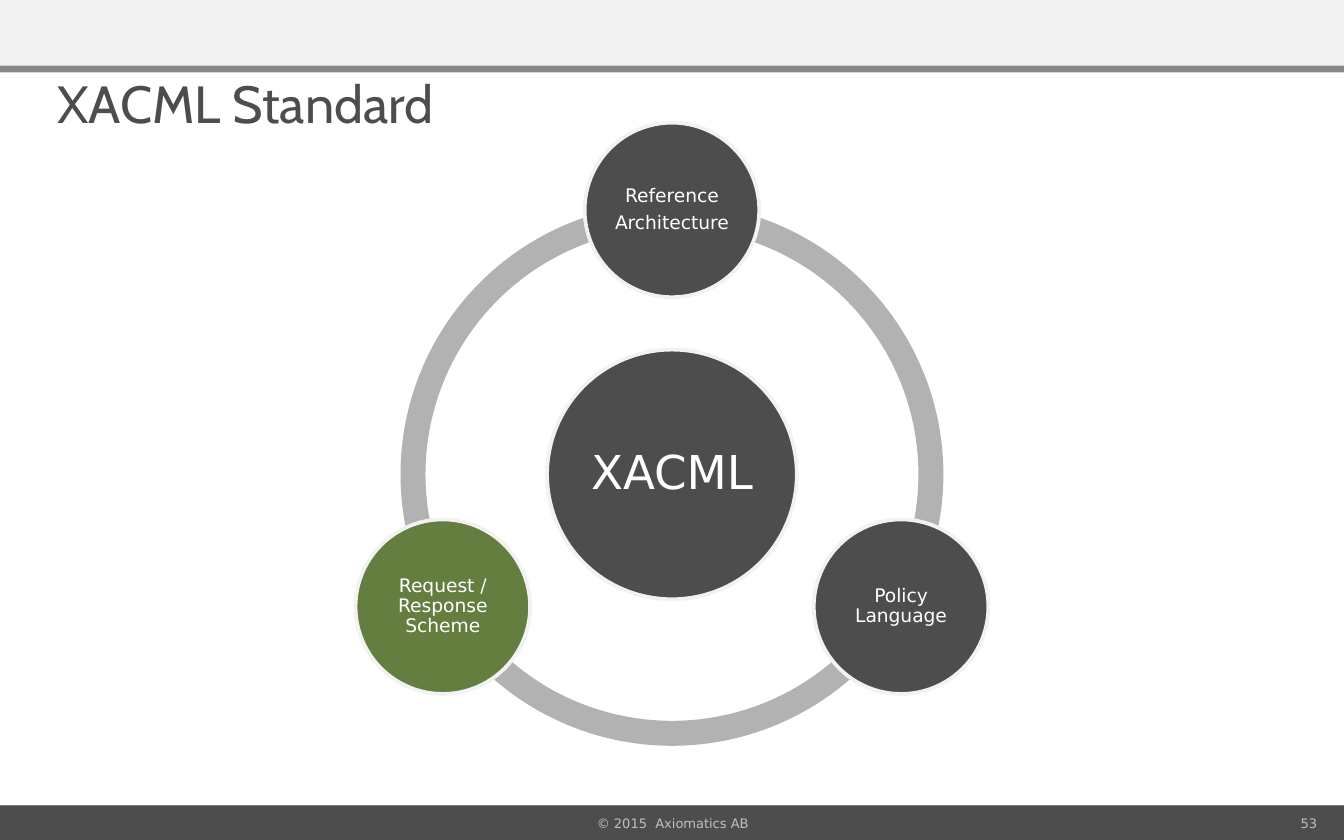
import math
from dataclasses import dataclass

from lxml import etree
from pptx import Presentation
from pptx import util as u
from pptx.dml.color import RGBColor
from pptx.enum import shapes, text
from pptx.oxml.ns import qn

DARK = RGBColor(0x4D, 0x4D, 0x4D)
GREEN = RGBColor(0x64, 0x7E, 0x40)
RING_GRAY = RGBColor(0xB2, 0xB2, 0xB2)
RULE_GRAY = RGBColor(0x88, 0x88, 0x88)
HEADER_GRAY = RGBColor(0xF3, 0xF3, 0xF3)
OUTLINE = RGBColor(0xF2, 0xF2, 0xF2)
FOOTER_TEXT = RGBColor(0xBF, 0xBF, 0xBF)
WHITE = RGBColor(0xFF, 0xFF, 0xFF)

BODY_FONT = "DejaVu Sans"
SLIDE_WIDTH, SLIDE_HEIGHT = 25.4, 15.88
CENTER_X, CENTER_Y = 12.7, 8.97
RING_SIZE, RING_THICKNESS = 10.26, 0.046
ORBIT = 5.0
HUB_SIZE, NODE_SIZE = 4.72, 3.3
FOOTER_TOP, FOOTER_HEIGHT = 15.24, 0.64


@dataclass
class Band:
    top: float
    height: float
    color: RGBColor


@dataclass
class Label:
    words: str
    left: float
    top: float
    width: float
    height: float
    size: float
    color: RGBColor
    font: str = BODY_FONT
    align: text.PP_ALIGN = text.PP_ALIGN.LEFT
    anchor: text.MSO_ANCHOR = text.MSO_ANCHOR.MIDDLE
    margins: tuple = (0.25, 0.13, 0.25, 0.13)


@dataclass
class Node:
    words: str
    angle: float
    color: RGBColor = DARK


BANDS = [
    Band(0, 1.24, HEADER_GRAY),
    Band(FOOTER_TOP, FOOTER_HEIGHT, DARK),
    Band(1.24, 0.13, RULE_GRAY),
]
LABELS = [
    Label("XACML Standard", 1.09, 1.35, 23.22, 1.6, 28, DARK, font="Cabin",
          anchor=text.MSO_ANCHOR.TOP, margins=(0, 0, 0, 0)),
    Label("53", 18.21, FOOTER_TOP, 6.68, FOOTER_HEIGHT, 7, FOOTER_TEXT,
          align=text.PP_ALIGN.RIGHT, margins=(0.25, 0.13, 0, 0.13)),
    Label("© 2015  Axiomatics AB", 8.69, FOOTER_TOP, 8.05, FOOTER_HEIGHT, 7,
          FOOTER_TEXT, align=text.PP_ALIGN.CENTER),
]
NODES = [
    Node("Reference\nArchitecture", 270),
    Node("Policy Language", 30),
    Node("Request / Response Scheme", 150, GREEN),
]
# Start and end angles of the ring's three arcs
ARCS = [(90, 162), (18, 90), (162, 18)]


def add_filled(slide, kind, left: float, top: float, width: float,
               height: float, color: RGBColor):
    shape = slide.shapes.add_shape(
        kind, u.Cm(left), u.Cm(top), u.Cm(width), u.Cm(height))
    shape.shadow.inherit = False
    shape.fill.solid()
    shape.fill.fore_color.rgb = color
    shape.line.fill.background()
    return shape


def set_margins(frame, margins: tuple) -> None:
    frame.margin_left, frame.margin_top, frame.margin_right, frame.margin_bottom = (
        u.Cm(margin) for margin in margins)


def format_runs(paragraph, font: str, size: float, color: RGBColor) -> None:
    for run in paragraph.runs:
        run.font.name = font
        run.font.size = u.Pt(size)
        run.font.color.rgb = color


def add_label(slide, label: Label) -> None:
    box = slide.shapes.add_textbox(
        u.Cm(label.left), u.Cm(label.top), u.Cm(label.width), u.Cm(label.height))
    frame = box.text_frame
    frame.word_wrap = True
    frame.vertical_anchor = label.anchor
    set_margins(frame, label.margins)
    frame.text = label.words
    paragraph = frame.paragraphs[0]
    paragraph.alignment = label.align
    format_runs(paragraph, label.font, label.size, label.color)


def add_arc(slide, start: float, end: float) -> None:
    arc = add_filled(slide, shapes.MSO_SHAPE.BLOCK_ARC, CENTER_X - RING_SIZE / 2,
                     CENTER_Y - RING_SIZE / 2, RING_SIZE, RING_SIZE, RING_GRAY)
    # Angles are stored in 1/60000 degree, adjustments in 1/100000
    arc.adjustments[0] = start * 0.6
    arc.adjustments[1] = end * 0.6
    arc.adjustments[2] = RING_THICKNESS


def add_circle(slide, words: str, center_x: float, center_y: float, diameter: float,
               color: RGBColor, size: float, margin: float) -> None:
    circle = add_filled(slide, shapes.MSO_SHAPE.OVAL, center_x - diameter / 2,
                        center_y - diameter / 2, diameter, diameter, color)
    circle.line.color.rgb = OUTLINE
    circle.line.width = u.Pt(2)
    frame = circle.text_frame
    frame.word_wrap = True
    frame.vertical_anchor = text.MSO_ANCHOR.MIDDLE
    set_margins(frame, (margin,) * 4)
    frame.text = words
    for paragraph in frame.paragraphs:
        paragraph.alignment = text.PP_ALIGN.CENTER
        paragraph.line_spacing = 0.9
        paragraph.space_after = u.Pt(size * 0.35)
        format_runs(paragraph, BODY_FONT, size, WHITE)


def add_top_shadow(shape) -> None:
    effects = shape._element.spPr.find(qn("a:effectLst"))
    shadow = etree.SubElement(effects, qn("a:outerShdw"), dist="6350",
                              dir="16200000", algn="b", rotWithShape="0")
    etree.SubElement(shadow, qn("a:srgbClr"), val="797979")


def main() -> None:
    presentation = Presentation()
    presentation.slide_width = u.Cm(SLIDE_WIDTH)
    presentation.slide_height = u.Cm(SLIDE_HEIGHT)
    slide = presentation.slides.add_slide(presentation.slide_layouts[6])

    # Header, footer and rule
    for band in BANDS:
        shape = add_filled(slide, shapes.MSO_SHAPE.RECTANGLE, 0, band.top,
                           SLIDE_WIDTH, band.height, band.color)
        if band.top == FOOTER_TOP:
            add_top_shadow(shape)

    # Title and footer texts
    for label in LABELS:
        add_label(slide, label)

    # Ring, hub and the nodes around it
    for start, end in ARCS:
        add_arc(slide, start, end)
    add_circle(slide, "XACML", CENTER_X, CENTER_Y, HUB_SIZE, DARK, 25, 0.08)
    for node in NODES:
        angle = math.radians(node.angle)
        add_circle(slide, node.words, CENTER_X + ORBIT * math.cos(angle),
                   CENTER_Y + ORBIT * math.sin(angle), NODE_SIZE, node.color, 10, 0.03)

    presentation.save("out.pptx")


if __name__ == "__main__":
    main()
